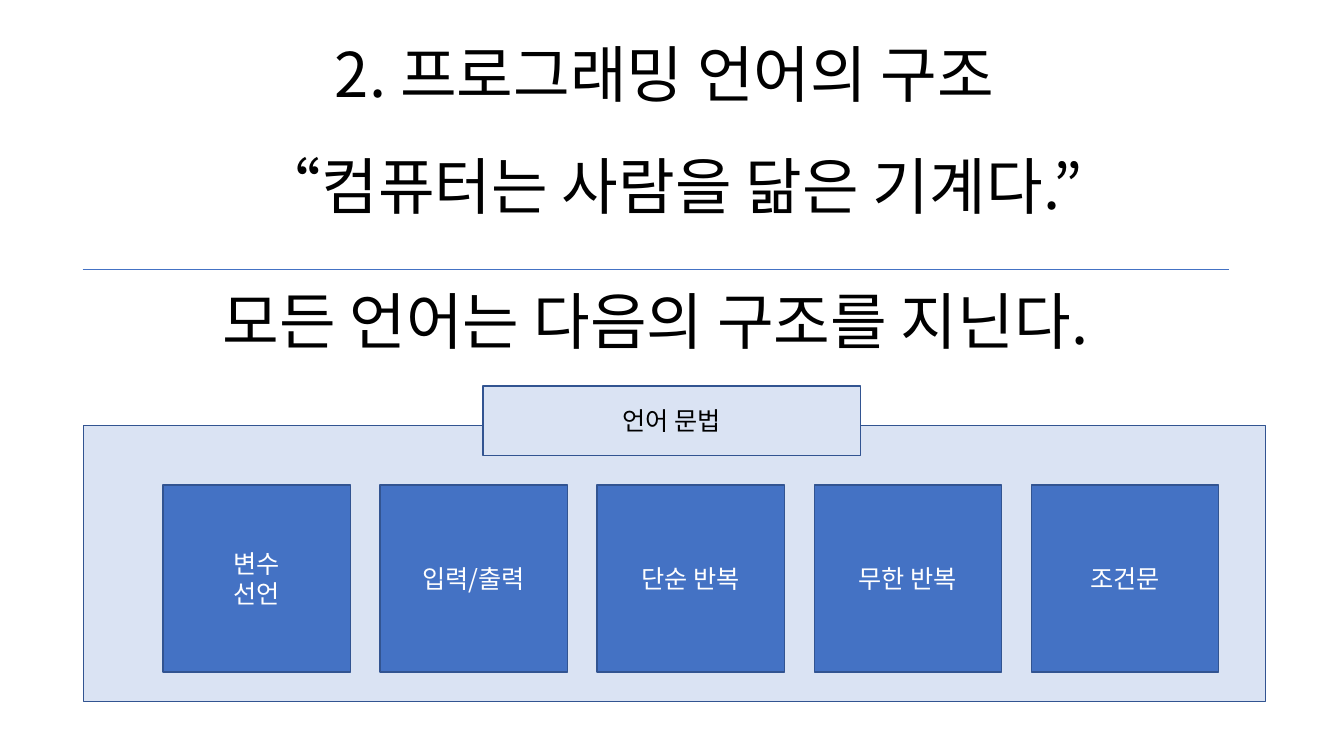
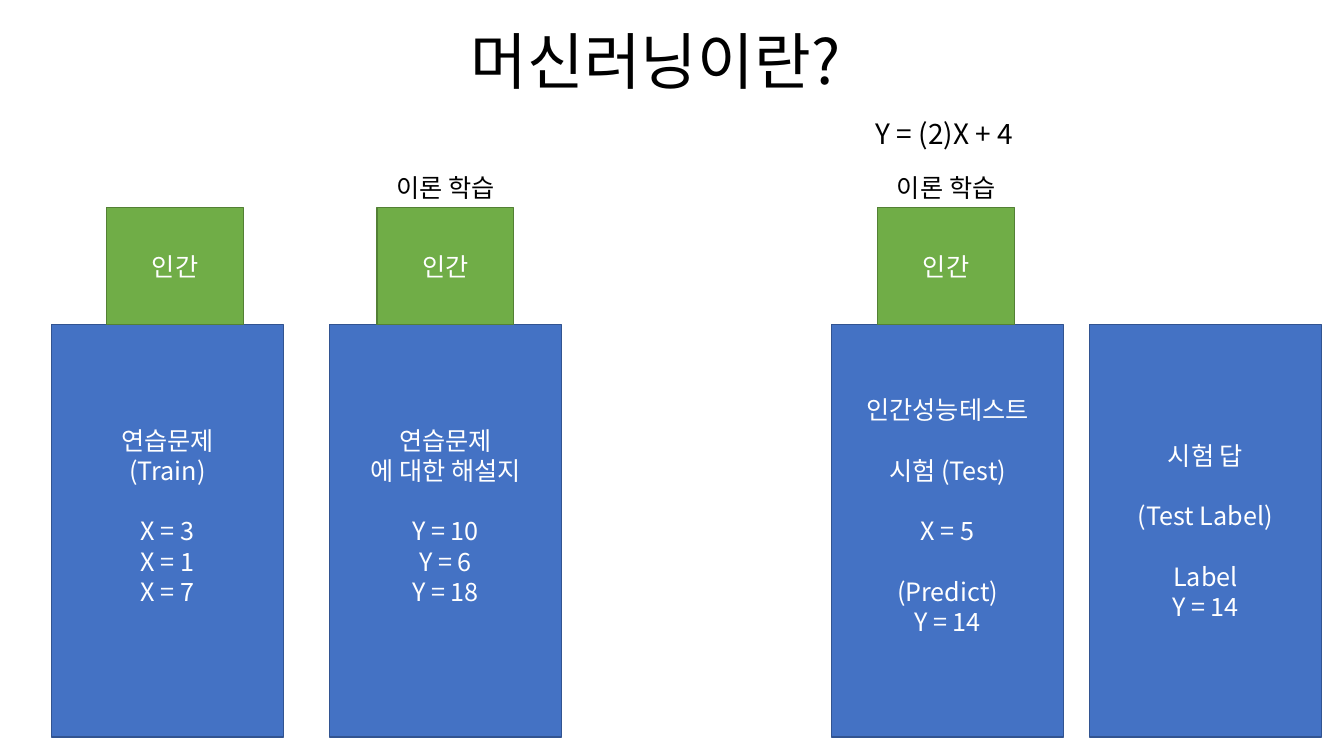
from lxml.etree import SubElement
from pptx import Presentation
from pptx.dml.color import RGBColor
from pptx.enum.shapes import MSO_CONNECTOR, MSO_SHAPE
from pptx.enum.text import MSO_ANCHOR, MSO_AUTO_SIZE, PP_ALIGN
from pptx.oxml.ns import qn
from pptx.util import Cm, Pt

FONT = "Noto Sans CJK KR"
BLACK = RGBColor(0x00, 0x00, 0x00)
WHITE = RGBColor(0xFF, 0xFF, 0xFF)
BLUE = RGBColor(0x44, 0x72, 0xC4)
NAVY = RGBColor(0x32, 0x54, 0x91)
PALE = RGBColor(0xDA, 0xE3, 0xF3)
GREEN = RGBColor(0x70, 0xAD, 0x47)
DARK_GREEN = RGBColor(0x53, 0x80, 0x35)
HEADING_SIZE, BODY_SIZE, FORMULA_SIZE = 44, 18, 20
GROUP_GAP = 21.6  # points: one line of body text

# Text is a list of groups of lines; boxes are (left, top, width, height) in cm.
STRUCTURE_TITLE = "2. 프로그래밍 언어의 구조"
STRUCTURE_LINES = [
    ("“컴퓨터는 사람을 닮은 기계다.”", (4.98, 3.61, 23.88, 2.13)),
    ("모든 언어는 다음의 구조를 지닌다.", (3.28, 7.01, 26.49, 2.13)),
]
GRAMMAR_TITLE = "언어 문법"
GRAMMAR_PARTS = [
    ["변수", "선언"], ["입력/출력"], ["단순 반복"], ["무한 반복"], ["조건문"],
]

LEARNING_TITLE = "머신러닝이란?"
FORMULA = "Y = (2)X + 4"
HUMAN, THEORY = "인간", "이론 학습"
# Left edge, groups of lines, whether the text sits half a line higher
CARDS = [
    (1.3, [["연습문제", "(Train)"], ["X = 3", "X = 1", "X = 7"]], True),
    (8.31, [["연습문제", "에 대한 해설지"], ["Y = 10", "Y = 6", "Y = 18"]], True),
    (20.96, [["인간성능테스트"], ["시험 (Test)"], ["X = 5"],
             ["(Predict)", "Y = 14"]], True),
    (27.46, [["시험 답"], ["(Test Label)"], ["Label", "Y = 14"]], False),
]
# Left edge, whether theory has been learned
HUMANS = [(2.69, False), (9.5, True), (22.12, True)]


def write(shape, groups, size=BODY_SIZE, color=BLACK, anchor=MSO_ANCHOR.MIDDLE):
    """Fill a shape with centred lines, leaving a gap between groups."""
    frame = shape.text_frame
    frame.word_wrap = True
    frame.auto_size = MSO_AUTO_SIZE.NONE
    frame.vertical_anchor = anchor
    paragraph = frame.paragraphs[0]
    for group_index, group in enumerate(groups):
        for line_index, line in enumerate(group):
            if group_index or line_index:
                paragraph = frame.add_paragraph()
            paragraph.alignment = PP_ALIGN.CENTER
            if group_index and not line_index:
                paragraph.space_before = Pt(GROUP_GAP)
            run = paragraph.add_run()
            run.text = line
            run.font.name = FONT
            run.font.size = Pt(size)
            run.font.color.rgb = color
            east_asian = SubElement(run.font._element, qn("a:ea"))
            east_asian.set("typeface", FONT)


def add_title(slide, text, box):
    """Move the title placeholder to its box and fill it."""
    title = slide.shapes.title
    title.left, title.top, title.width, title.height = map(Cm, box)
    write(title, [[text]], size=HEADING_SIZE, anchor=MSO_ANCHOR.TOP)


def add_text(slide, text, box, size=BODY_SIZE):
    """Add a text box with one centred line."""
    textbox = slide.shapes.add_textbox(*map(Cm, box))
    write(textbox, [[text]], size=size, anchor=MSO_ANCHOR.TOP)


def add_box(slide, box, groups=(), fill=BLUE, line=NAVY, color=WHITE):
    """Add a flat outlined rectangle, with text if any is given."""
    shape = slide.shapes.add_shape(MSO_SHAPE.RECTANGLE, *map(Cm, box))
    shape.shadow.inherit = False
    shape.fill.solid()
    shape.fill.fore_color.rgb = fill
    shape.line.color.rgb = line
    shape.line.width = Pt(1)
    write(shape, groups, color=color)
    return shape


def add_rule(slide, left, right, top):
    """Add a thin horizontal line without a shadow."""
    rule = slide.shapes.add_connector(
        MSO_CONNECTOR.STRAIGHT, Cm(left), Cm(top), Cm(right), Cm(top))
    rule.line.color.rgb = BLUE
    rule.line.width = Pt(0.5)
    SubElement(rule._element.spPr, qn("a:effectLst"))


def build_structure(slide):
    """Build the slide on the structure of programming languages."""
    add_title(slide, STRUCTURE_TITLE, (6.1, 0.79, 21.31, 2.13))
    for text, box in STRUCTURE_LINES:
        add_text(slide, text, box, size=HEADING_SIZE)
    add_rule(slide, 2.08, 30.96, 6.78)
    add_box(slide, (2.11, 10.72, 29.79, 6.96), fill=PALE)
    side, gap = 4.72, 0.75
    for index, lines in enumerate(GRAMMAR_PARTS):
        left = 4.11 + index * (side + gap)
        add_box(slide, (left, 12.22, side, side), [lines])
    add_box(slide, (12.17, 9.73, 9.52, 1.75), [[GRAMMAR_TITLE]],
            fill=PALE, color=BLACK)


def build_learning(slide):
    """Build the slide comparing machine learning with human study."""
    add_title(slide, LEARNING_TITLE, (3.28, 0.46, 26.49, 2.13))
    add_text(slide, FORMULA, (17.83, 2.82, 11.94, 1.12), size=FORMULA_SIZE)
    card_top, human_width, human_height, label_width = 8.18, 3.45, 2.95, 4.45
    human_top = card_top - human_height
    for left, groups, raised in CARDS:
        card = add_box(slide, (left, card_top, 5.84, 10.39), groups)
        if raised:
            card.text_frame.margin_bottom += Pt(GROUP_GAP)
    for left, learned in HUMANS:
        add_box(slide, (left, human_top, human_width, human_height), [[HUMAN]],
                fill=GREEN, line=DARK_GREEN)
        if learned:
            label_left = left - (label_width - human_width) / 2
            add_text(slide, THEORY, (label_left, human_top - 1.02, label_width, 1.02))


presentation = Presentation()
presentation.slide_width, presentation.slide_height = Cm(33.87), Cm(19.05)
title_only = presentation.slide_layouts[5]
for build in (build_structure, build_learning):
    build(presentation.slides.add_slide(title_only))
presentation.save("out.pptx")
